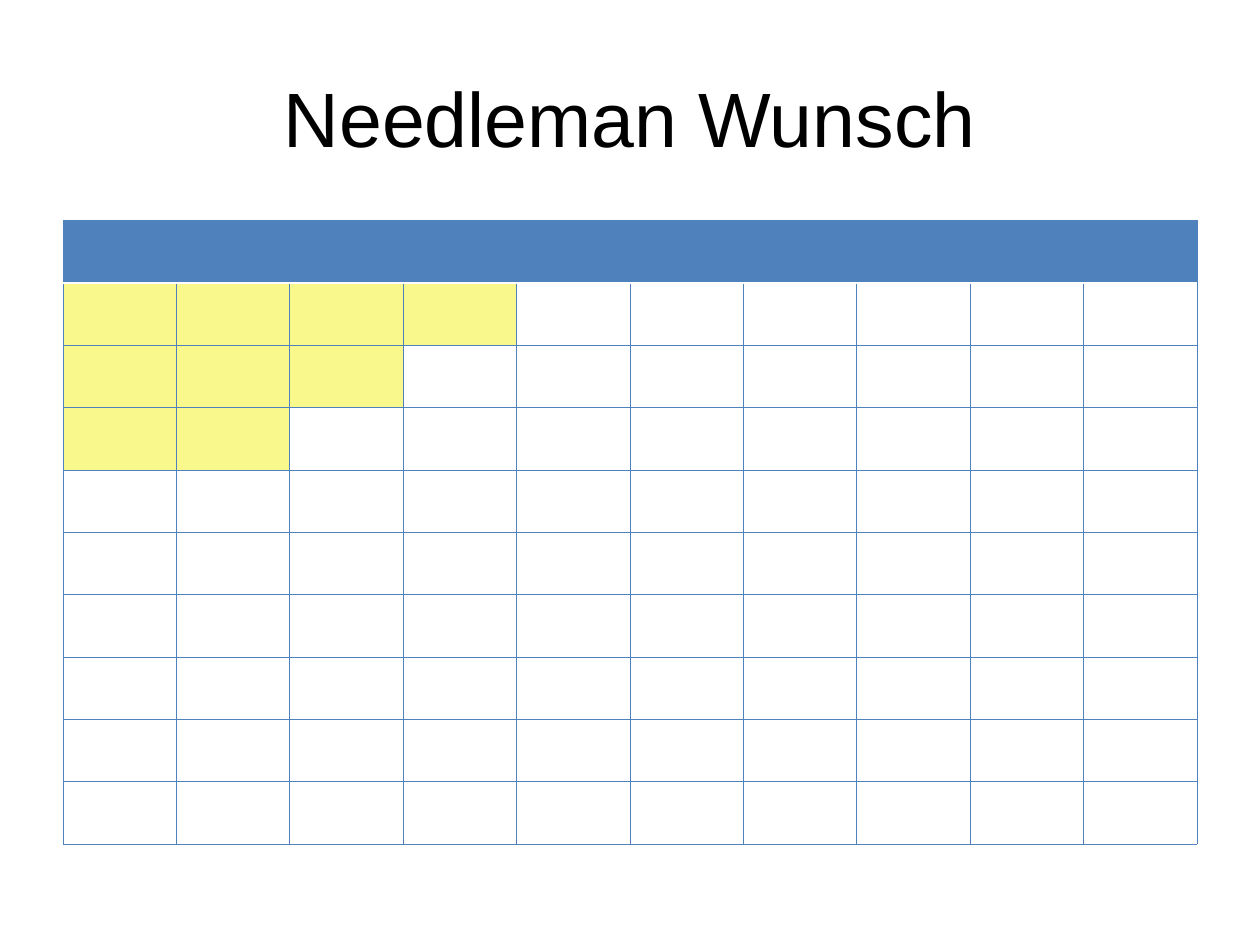
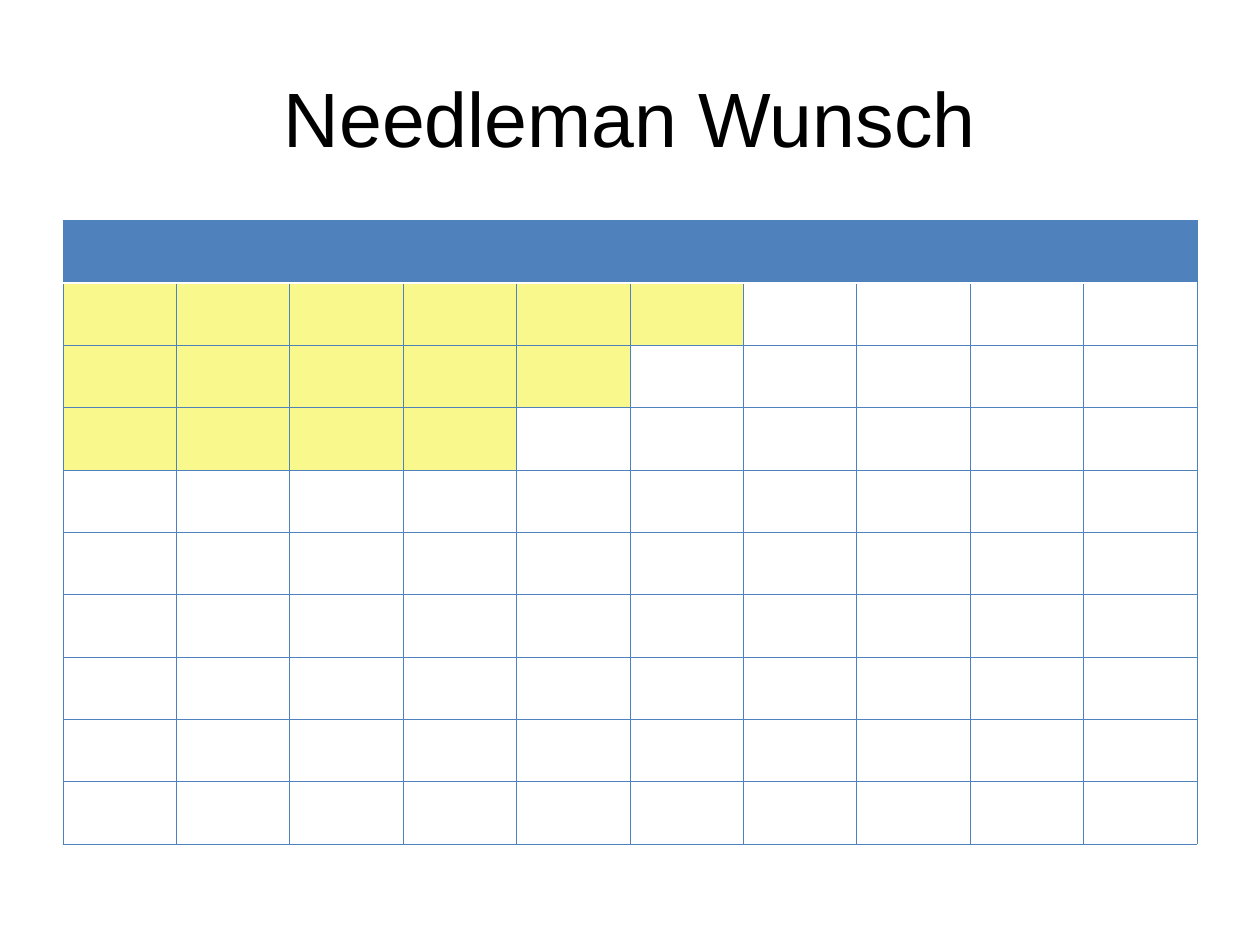
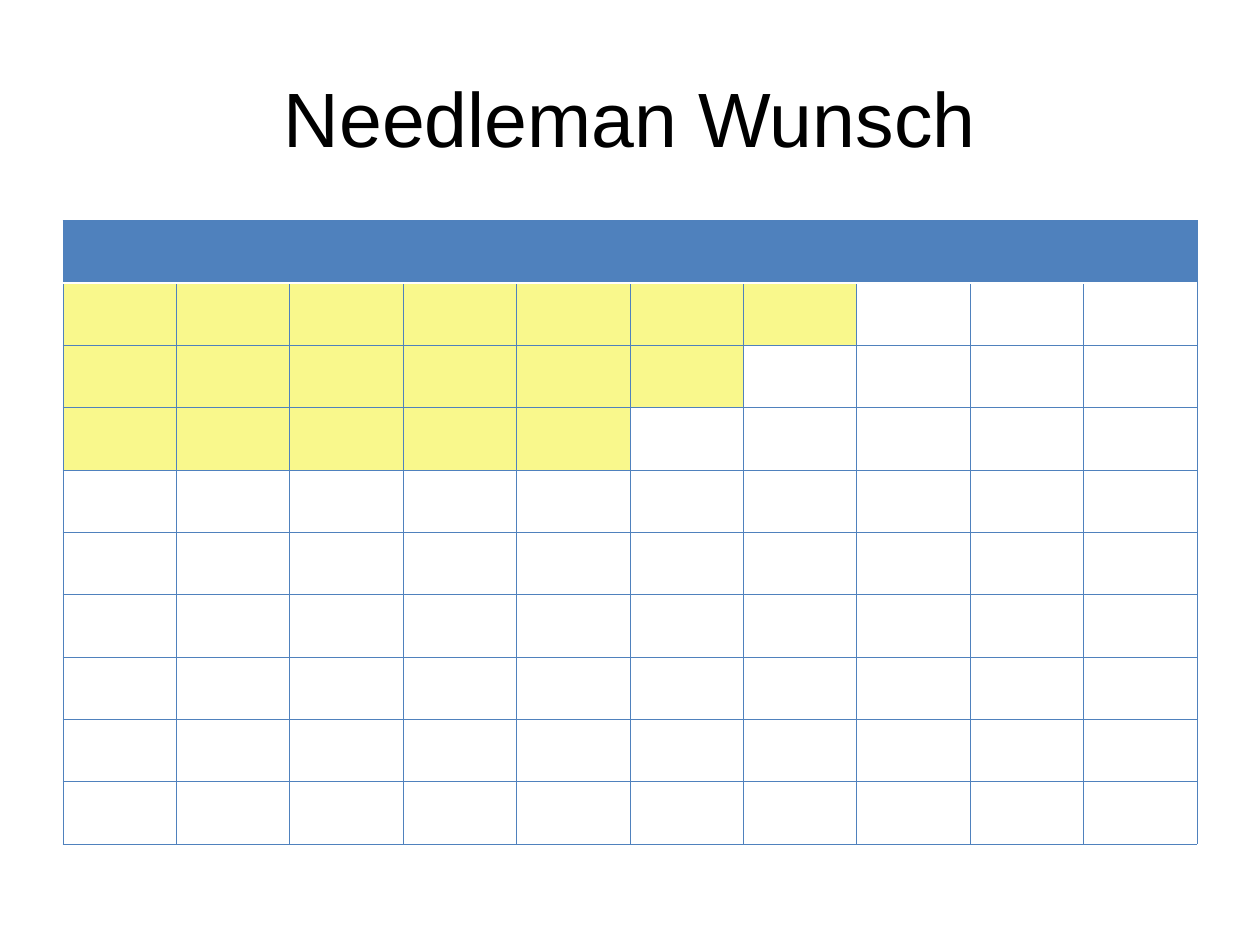
"""Build three slides that show a Needleman Wunsch matrix filling up diagonal by diagonal."""
from dataclasses import dataclass

from lxml.etree import SubElement
from pptx import Presentation
from pptx.dml.color import RGBColor
from pptx.enum.text import MSO_ANCHOR as Anchor, PP_ALIGN as Align
from pptx.oxml.ns import qn
from pptx.slide import Slide
from pptx.table import _Cell as Cell
from pptx.util import Inches, Pt

BLUE = RGBColor(0x4F, 0x81, 0xBD)
YELLOW = RGBColor(0xF9, 0xF8, 0x8C)
WHITE = RGBColor(0xFF, 0xFF, 0xFF)
BLACK = RGBColor(0x00, 0x00, 0x00)

TITLE = "Needleman Wunsch"
TITLE_BOX = {"left": Inches(0.5), "top": Inches(0.3), "width": Inches(9), "height": Inches(1.25)}
TITLE_FONT = {"name": "Arial", "size": Pt(44), "bold": False}
MATRIX_BOX = (Inches(0.5), Inches(1.75), Inches(9), Inches(4.95))
MATRIX_SIZE = 10
COMPUTED_ROWS = 3
FIRST_ROW_COUNTS = (4, 6, 7)


@dataclass(frozen=True)
class Border:
    color: RGBColor
    width: Pt


GRID_LINE = Border(BLUE, Pt(0.45))
HEADER_LINE = Border(WHITE, Pt(1.47))


def set_border(cell: Cell, side: str, border: Border) -> None:
    line = SubElement(cell._tc.get_or_add_tcPr(), qn(f"a:ln{side}"), w=str(int(border.width)))
    fill = SubElement(line, qn("a:solidFill"))
    SubElement(fill, qn("a:srgbClr"), val=str(border.color))


def format_cell(cell: Cell, row: int, column: int, first_row_count: int) -> None:
    lines = {"L": GRID_LINE, "R": GRID_LINE,
             "T": HEADER_LINE if row == 1 else GRID_LINE,
             "B": HEADER_LINE if row == 0 else GRID_LINE}
    for side, border in lines.items():
        set_border(cell, side, border)
    if row == 0:
        cell.fill.solid()
        cell.fill.fore_color.rgb = BLUE
    elif row <= COMPUTED_ROWS and row + column <= first_row_count:
        cell.fill.solid()
        cell.fill.fore_color.rgb = YELLOW
    else:
        cell.fill.background()


def add_title(slide: Slide) -> None:
    title = slide.shapes.title
    for name, value in TITLE_BOX.items():
        setattr(title, name, value)
    title.text_frame.text = TITLE
    title.text_frame.vertical_anchor = Anchor.MIDDLE
    paragraph = title.text_frame.paragraphs[0]
    paragraph.alignment = Align.CENTER
    font = paragraph.runs[0].font
    for name, value in TITLE_FONT.items():
        setattr(font, name, value)
    font.color.rgb = BLACK


def add_matrix(slide: Slide, first_row_count: int) -> None:
    table = slide.shapes.add_table(MATRIX_SIZE, MATRIX_SIZE, *MATRIX_BOX).table
    table.horz_banding = False
    for row in range(MATRIX_SIZE):
        for column in range(MATRIX_SIZE):
            format_cell(table.cell(row, column), row, column, first_row_count)


def main() -> None:
    presentation = Presentation()
    presentation.slide_width = Inches(10)
    presentation.slide_height = Inches(7.5)
    for first_row_count in FIRST_ROW_COUNTS:
        slide = presentation.slides.add_slide(presentation.slide_layouts[5])
        add_title(slide)
        add_matrix(slide, first_row_count)
    presentation.save("out.pptx")


if __name__ == "__main__":
    main()
